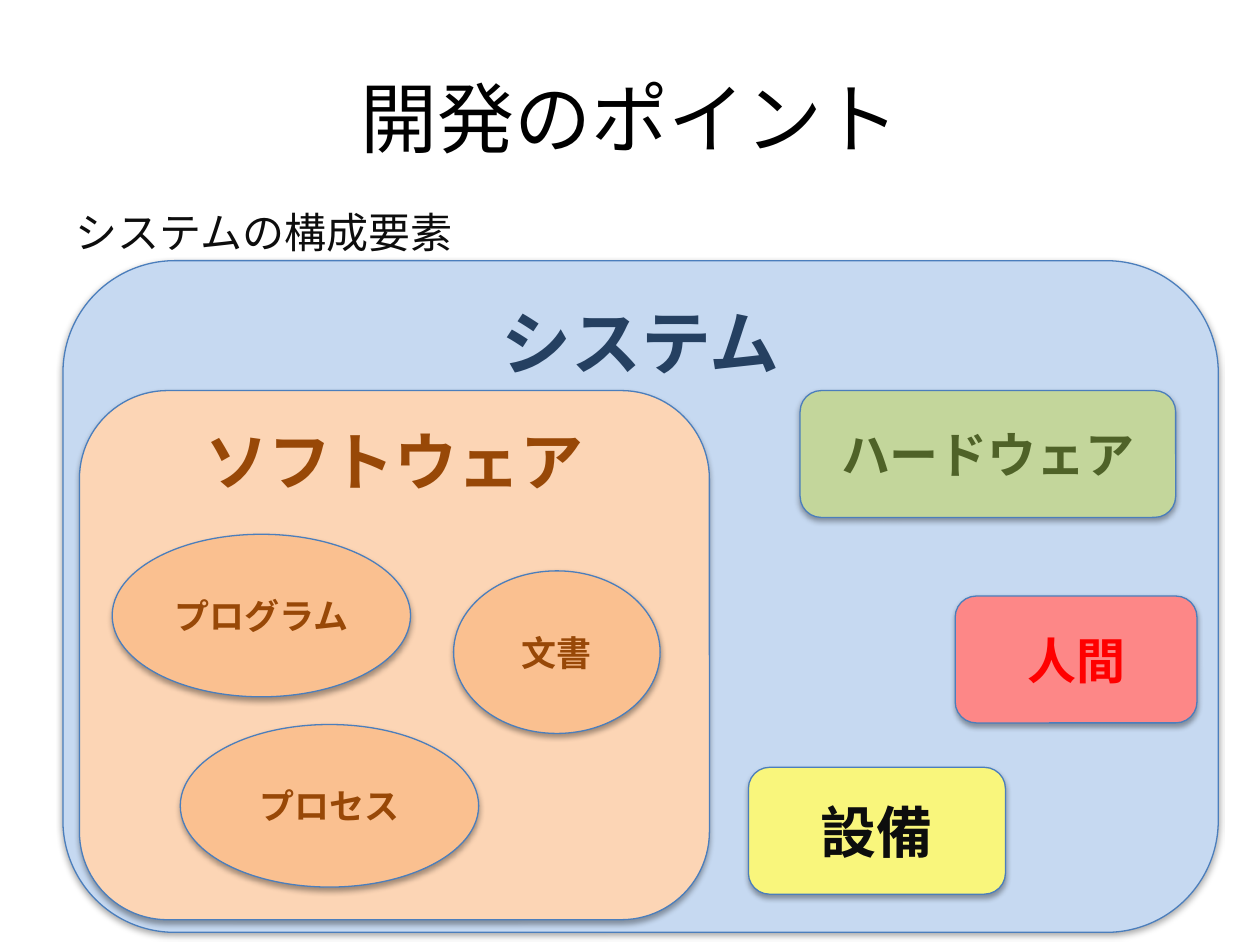
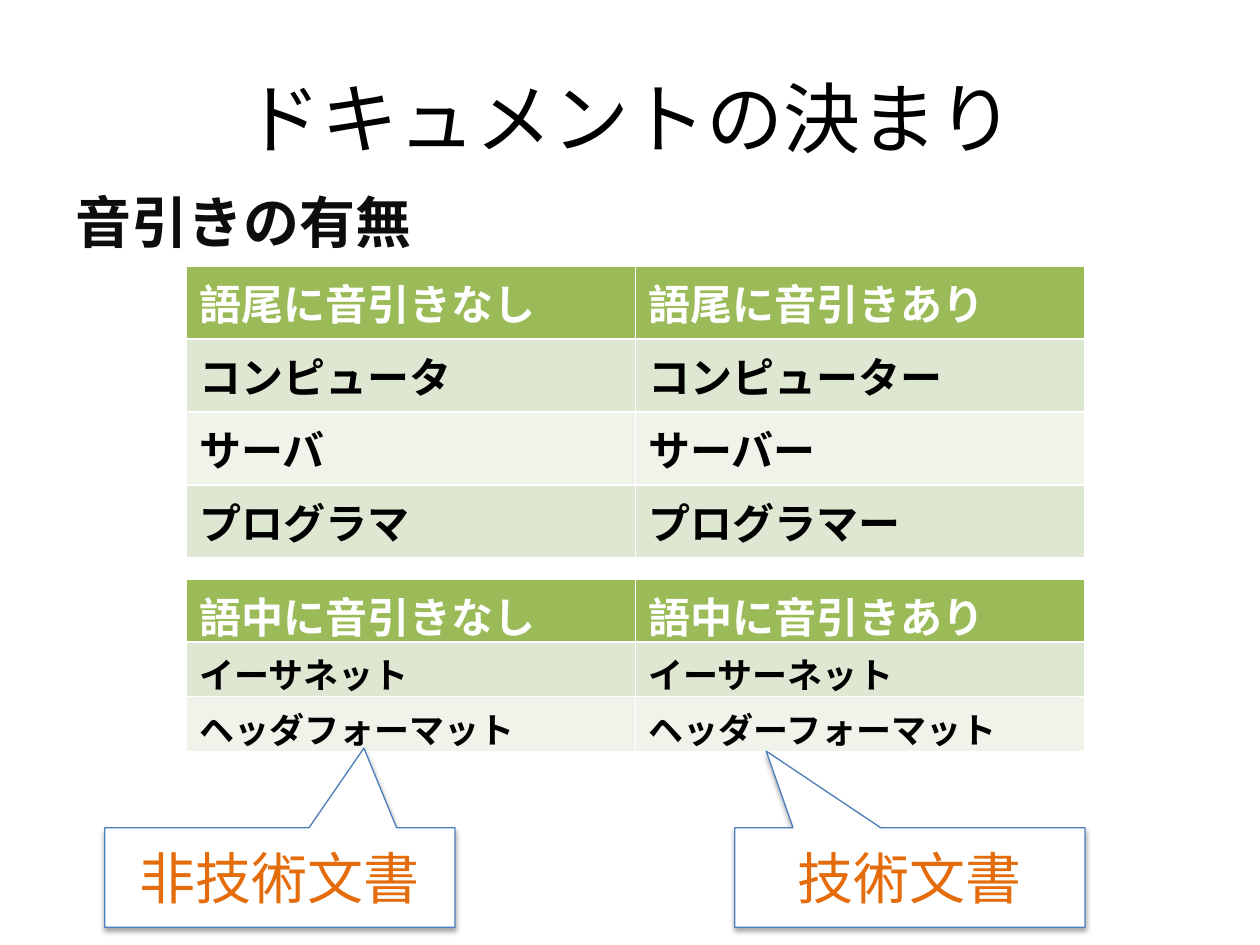
import pptx
import pptx.util
import pptx.dml.color
import pptx.enum.shapes
import pptx.enum.text
import pptx.oxml.ns
from lxml import etree

Pt = pptx.util.Pt
SHAPE = pptx.enum.shapes.MSO_SHAPE
ANCHOR = pptx.enum.text.MSO_ANCHOR
ALIGN = pptx.enum.text.PP_ALIGN

FONT = "Noto Sans CJK JP"
BLACK, INK, WHITE = "000000", "0D0D0D", "FFFFFF"
OUTLINE, BROWN, ORANGE = "4B7EBC", "984807", "E46C0A"
HEADER, BANDS = "9BBB59", ("DEE7D1", "EFF3EA")


def rgb(hex_code):
    """Turn a hex string into a colour."""
    return pptx.dml.color.RGBColor.from_string(hex_code)


def add_run(p, text, size, color, bold=False, latin=FONT):
    """Add one run with its Latin and East Asian fonts."""
    r = p.add_run()
    r.text = text
    r.font.size = Pt(size)
    r.font.bold = bold
    r.font.color.rgb = rgb(color)
    r.font.name = latin
    ea = etree.SubElement(r.font._element, pptx.oxml.ns.qn("a:ea"))
    ea.set("typeface", FONT)


def add_label(s, box, text, size, color, bold=False, latin=FONT,
              align=ALIGN.LEFT, anchor=ANCHOR.TOP):
    """Place a wrapped text box."""
    tf = s.shapes.add_textbox(*map(Pt, box)).text_frame
    tf.word_wrap = True
    tf.vertical_anchor = anchor
    p = tf.paragraphs[0]
    p.alignment = align
    add_run(p, text, size, color, bold, latin)


def add_title(s, text, latin=FONT):
    """Place the centred slide title."""
    add_label(s, (36, 21.6, 648, 90), text, 44, BLACK, latin=latin,
              align=ALIGN.CENTER, anchor=ANCHOR.MIDDLE)


def add_block(s, kind, box, fill, text, size, color, bold=True, anchor=ANCHOR.MIDDLE):
    """Place an outlined shape that keeps the theme shadow."""
    sp = s.shapes.add_shape(kind, *map(Pt, box))
    sp.fill.solid()
    sp.fill.fore_color.rgb = rgb(fill)
    sp.line.color.rgb = rgb(OUTLINE)
    sp.line.width = Pt(0.75)
    tf = sp.text_frame
    tf.word_wrap = True
    tf.vertical_anchor = anchor
    p = tf.paragraphs[0]
    p.alignment = ALIGN.CENTER
    add_run(p, text, size, color, bold)
    return sp


def add_software(s, box):
    """Draw the software panel and its three ovals."""
    x, y, w, h = box
    add_block(s, SHAPE.ROUNDED_RECTANGLE, box, "FCD5B5", "ソフトウェア", 36, BROWN,
              anchor=ANCHOR.TOP)
    ovals = [("プログラム", 18.7, 82.1, 170.5), ("文書", 213.8, 103, 118),
             ("プロセス", 57.6, 190.8, 170.5)]
    for text, dx, dy, width in ovals:
        add_block(s, SHAPE.OVAL, (x + dx, y + dy, width, 92.9), "FAC090", text, 20, BROWN)


def add_system(s, box):
    """Draw the system panel and the elements inside it."""
    x, y, w, h = box
    add_block(s, SHAPE.ROUNDED_RECTANGLE, box, "C6D9F1", "システム", 40, "254061",
              anchor=ANCHOR.TOP)
    add_software(s, (x + 9.4, y + 74.2, 360, 302.4))
    elements = [("ハードウェア", 421.2, 74.2, 214.6, "C3D69B", 28, "4F6228"),
                ("設備", 391.7, 289.5, 146.9, "F9F67C", 32, INK),
                ("人間", 509.8, 191.6, 138.2, "FD8787", 28, "FF0000")]
    for text, dx, dy, width, fill, size, color in elements:
        add_block(s, SHAPE.ROUNDED_RECTANGLE, (x + dx, y + dy, width, 72.5),
                  fill, text, size, color)


def add_word_table(s, box, rows, body_size):
    """Place a two-column table with a green header and banded rows."""
    x, y, w, h = map(Pt, box)
    table = s.shapes.add_table(len(rows), 2, x, y, w, h).table
    for i, words in enumerate(rows):
        for j, word in enumerate(words):
            cell = table.cell(i, j)
            cell.fill.solid()
            cell.fill.fore_color.rgb = rgb(BANDS[(i - 1) % 2] if i else HEADER)
            add_run(cell.text_frame.paragraphs[0], word, body_size if i else 24,
                    BLACK if i else WHITE, True)


def add_callout(s, box, text, tip):
    """Place a callout whose tip is given as fractions of its size."""
    sp = add_block(s, SHAPE.RECTANGULAR_CALLOUT, box, WHITE, text, 32, ORANGE, bold=False)
    sp.adjustments[0], sp.adjustments[1] = tip


def build_system_slide(s):
    """Build the slide on the parts of a system."""
    add_title(s, "開発のポイント")
    add_label(s, (36, 114.5, 648, 327.6), "システムの構成要素", 24, INK)
    add_system(s, (36, 149, 660.2, 383.8))


def build_document_slide(s):
    """Build the slide on long vowel marks."""
    add_label(s, (36, 103.7, 648, 314.6), "音引きの有無", 32, INK, True)
    add_title(s, "ドキュメントの決まり", latin="Calibri")
    add_word_table(s, (106.6, 151.9, 513.4, 167),
                   [("語尾に音引きなし", "語尾に音引きあり"),
                    ("コンピュータ", "コンピューター"),
                    ("サーバ", "サーバー"),
                    ("プログラマ", "プログラマー")], 24)
    add_word_table(s, (106.6, 330.8, 513.4, 88.5),
                   [("語中に音引きなし", "語中に音引きあり"),
                    ("イーサネット", "イーサーネット"),
                    ("ヘッダフォーマット", "ヘッダーフォーマット")], 20)
    callouts = [("非技術文書", 59.8, (0.24, -1.3)), ("技術文書", 419.8, (-0.41, -1.27))]
    for text, x, tip in callouts:
        add_callout(s, (x, 473, 200.2, 56.9), text, tip)


def main():
    """Build and save the presentation."""
    prs = pptx.Presentation()
    prs.slide_width, prs.slide_height = Pt(720), Pt(540)
    for build in (build_system_slide, build_document_slide):
        build(prs.slides.add_slide(prs.slide_layouts[6]))
    prs.save("out.pptx")


if __name__ == "__main__":
    main()
